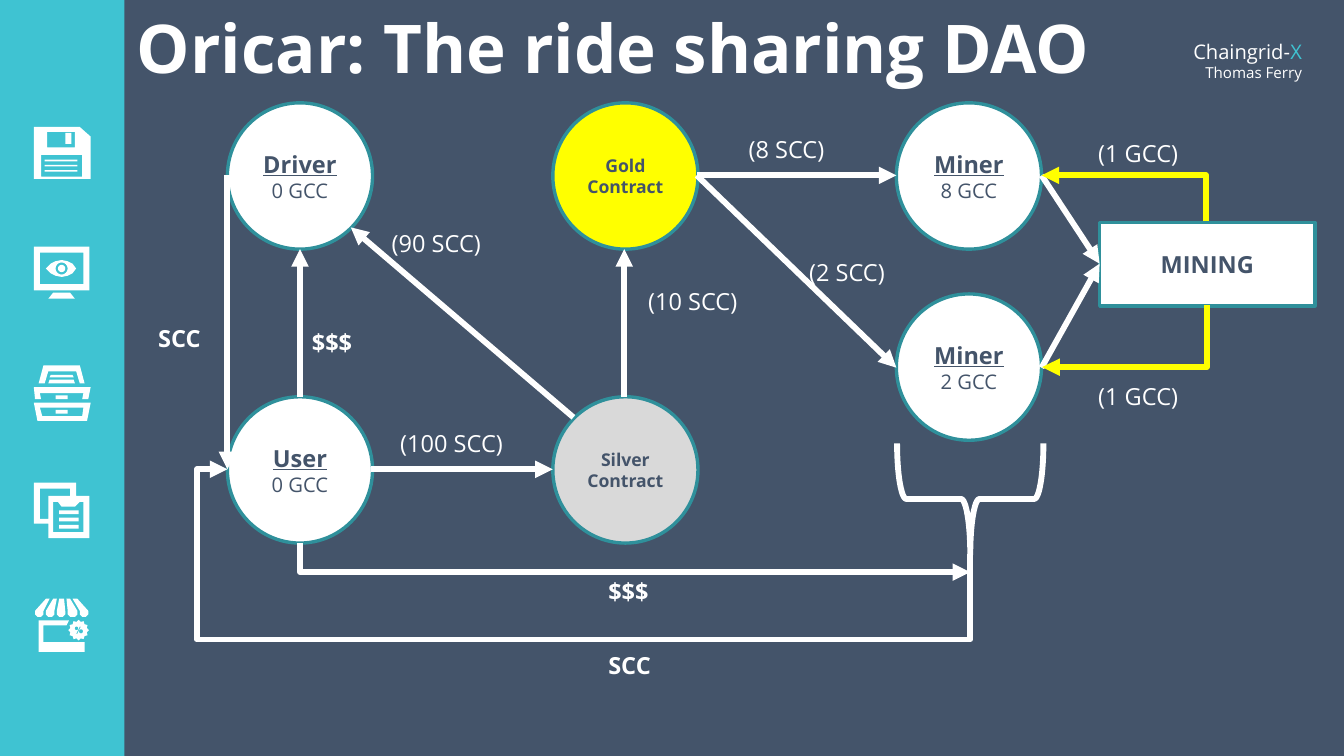
from math import cos, pi, sin

from lxml import etree
from pptx import Presentation
from pptx import util as u
from pptx.dml.color import RGBColor
from pptx.enum import shapes, text
from pptx.oxml.ns import qn

FONT = "Open Sans"
WHITE, NAVY, CYAN, TEAL = "FFFFFF", "44546A", "3FC3D2", "2F909B"
YELLOW, SILVER = "FFFF00", "D9D9D9"
MID = text.MSO_ANCHOR.MIDDLE
LEFT, CENTER, RIGHT = text.PP_ALIGN.LEFT, text.PP_ALIGN.CENTER, text.PP_ALIGN.RIGHT
SHAPE = shapes.MSO_SHAPE
DIAMETER, HEIGHT = 1.2, 1.21


def color(value):
    return RGBColor.from_string(value)


def inches(*values):
    return [u.Inches(v) for v in values]


def add_run(p, words, size, c=WHITE, bold=False, underline=False):
    r = p.add_run()
    r.text = words
    f = r.font
    f.name, f.size, f.bold, f.underline = FONT, u.Pt(size), bold, underline
    f.color.rgb = color(c)


def write(tf, lines, align=LEFT, anchor=text.MSO_ANCHOR.TOP):
    tf.word_wrap = True
    tf.vertical_anchor = anchor
    for i, runs in enumerate(lines):
        p = tf.add_paragraph() if i else tf.paragraphs[0]
        p.alignment = align
        for run in runs:
            add_run(p, *run)


def paint(sp, fill=None, line=None, width=2):
    sp.shadow.inherit = False
    if fill:
        sp.fill.solid()
        sp.fill.fore_color.rgb = color(fill)
    else:
        sp.fill.background()
    if line:
        sp.line.color.rgb = color(line)
        sp.line.width = u.Pt(width)
    else:
        sp.line.fill.background()


def add_box(s, kind, x, y, w, h, fill=None, line=None, width=2, lines=()):
    sp = s.shapes.add_shape(kind, *inches(x, y, w, h))
    paint(sp, fill, line, width)
    if lines:
        write(sp.text_frame, lines, CENTER, MID)
    return sp


def add_circle(s, x, y, fill, lines):
    add_box(s, SHAPE.OVAL, x, y, DIAMETER, HEIGHT, fill, TEAL, lines=lines)


def add_party(s, x, y, name, coins):
    add_circle(s, x, y, WHITE, [[(name, 14, NAVY, True, True)], [(coins, 12, NAVY)]])


def add_contract(s, x, y, name, fill):
    add_circle(s, x, y, fill, [[(name, 10.5, NAVY, True)]])


def add_label(s, x, y, words, bold=False, w=1):
    sp = s.shapes.add_textbox(*inches(x, y, w, 0.34))
    write(sp.text_frame, [[(words, 14, WHITE, bold)]])


def add_arrow(s, x1, y1, x2, y2, c=WHITE, kind=shapes.MSO_CONNECTOR.STRAIGHT):
    cx = s.shapes.add_connector(kind, *inches(x1, y1, x2, y2))
    cx.line.color.rgb = color(c)
    cx.line.width = u.Pt(3.5)
    pr = cx._element.spPr
    etree.SubElement(pr.find(qn("a:ln")), qn("a:tailEnd"), type="triangle")
    etree.SubElement(pr, qn("a:effectLst"))
    return cx


def add_bent_arrow(s, x, y, w, h, turn, flip, preset, c=WHITE, adjust=()):
    x1, x2 = (x + w, x) if flip == "h" else (x, x + w)
    y1, y2 = (y + h, y) if flip == "v" else (y, y + h)
    cx = add_arrow(s, x1, y1, x2, y2, c, shapes.MSO_CONNECTOR.ELBOW)
    pr = cx._element.spPr
    pr.find(qn("a:xfrm")).set("rot", str(turn * 60000))
    geom = pr.find(qn("a:prstGeom"))
    geom.set("prst", preset)
    av = geom.find(qn("a:avLst"))
    for i, value in enumerate(adjust, 1):
        etree.SubElement(av, qn("a:gd"), name=f"adj{i}", fmla=f"val {value}")


def rect(x1, y1, x2, y2):
    return [(x1, y1), (x2, y1), (x2, y2), (x1, y2)]


def ring(x, y, radii, n=24):
    return [(x + radii[i % len(radii)] * cos(2 * pi * i / n),
             y + radii[i % len(radii)] * sin(2 * pi * i / n)) for i in range(n)]


def add_icon(s, outlines):
    scaled = [[(x * 10, y * 10) for x, y in points] for points in outlines]
    fb = s.shapes.build_freeform(*scaled[0][0], scale=u.Inches(1) / 1000)
    for points in scaled:
        fb.move_to(*points[0])
        fb.add_line_segments(points[1:], close=True)
    paint(fb.convert_to_shape(), WHITE)


def disk_icon():
    return [[(28, 105), (66, 105), (75, 113), (75, 148), (28, 148)],
            rect(39, 109, 62, 122), rect(54, 110, 59, 119), rect(34, 128, 68, 146),
            *[rect(37, y, 64, y + 1.4) for y in (132, 136.3, 140.6)]]


def monitor_icon():
    eye = [(38, 222), (42, 218), (46, 216), (51, 215), (56, 216), (60, 218),
           (63, 222), (60, 226), (56, 228), (51, 229), (46, 228), (42, 226)]
    return [rect(28, 204, 74, 240), rect(33, 209, 69, 235), eye,
            ring(51, 222, [5]), ring(51, 222, [3]),
            [(44, 242), (58, 242), (62, 247), (40, 247)]]


def drawer_icon():
    return [[(36, 302), (66, 302), (70, 317), (66, 317), (63, 307), (40, 307), (37, 317), (32, 317)],
            [(42, 310), (60, 310), (61, 312), (41, 312)],
            [(41, 314), (61, 314), (62, 317), (40, 317)],
            [(28, 320), (75, 320), (73, 330), (68, 330), (69, 325), (33, 325), (34, 330), (29, 330)],
            [(28, 333), (75, 333), (72, 348), (31, 348)],
            [(33, 337), (69, 337), (68, 344), (35, 344)],
            *[rect(46, y, 56, y + 3) for y in (327, 339)]]


def pages_icon():
    return [[(28, 399), (63, 399), (63, 410), (74, 410), (74, 445), (40, 445), (40, 433), (28, 433)],
            [(33, 404), (58, 404), (58, 410), (40, 410), (40, 429), (33, 429)],
            [(44, 415), (48, 415), (51, 419), (62, 419), (66, 415), (69, 415), (69, 440), (44, 440)],
            *[rect(49, y, 65, y + 3) for y in (422, 428, 434)]]


def shop_icon():
    stripes = [(38, 41, 29, 36), (44, 47, 38, 45), (49, 53, 47, 54), (55, 58, 56, 64), (60, 64, 66, 73)]
    awning = [[(a, 495), (b, 495), (d, 505), (d, 508), (d - 2, 510), (c + 2, 510), (c, 508), (c, 505)]
              for a, b, c, d in stripes]
    percent = [ring(63.3, 519.5, [1.5]), ring(67, 522, [1.7]),
               [(66, 518), (67, 518), (64, 524), (63, 524)]]
    walls = [(32, 513), (57, 513), (55, 517), (36, 517), (36, 531), (70, 531), (70, 539), (32, 539)]
    return [*awning, ring(65, 521, [8.5, 7]), *percent, walls]


def main():
    prs = Presentation()
    prs.slide_width, prs.slide_height = inches(11.11, 6.25)
    s = prs.slides.add_slide(prs.slide_layouts[5])
    s.background.fill.solid()
    s.background.fill.fore_color.rgb = color(NAVY)

    title = s.shapes.title
    title.left, title.top, title.width, title.height = inches(1.03, 0, 10.08, 0.85)
    write(title.text_frame, [[("Oricar: The ride sharing DAO", 40, WHITE, True)]])
    header = s.shapes.add_textbox(*inches(9.21, 0.25, 1.65, 0.5))
    write(header.text_frame, [[("Chaingrid-", 12), ("X", 12, CYAN)], [("Thomas Ferry", 9)]], RIGHT, MID)

    add_box(s, SHAPE.RECTANGLE, 0, 0, 1.03, 6.25, CYAN)
    for icon in (disk_icon, monitor_icon, drawer_icon, pages_icon, shop_icon):
        add_icon(s, icon())

    add_contract(s, 4.57, 3.28, "Silver Contract", SILVER)
    add_contract(s, 4.57, 0.85, "Gold Contract", YELLOW)
    for party in ((1.88, 3.28, "User", "0 GCC"), (1.88, 0.85, "Driver", "0 GCC"),
                  (7.41, 2.43, "Miner", "2 GCC"), (7.41, 0.85, "Miner", "8 GCC")):
        add_party(s, *party)
    add_box(s, SHAPE.RECTANGLE, 9.09, 1.84, 1.78, 0.69, WHITE, TEAL,
            lines=[[("MINING", 14, NAVY, True)]])

    for ends in ((3.07, 3.88, 4.57, 3.88), (4.74, 3.45, 2.9, 1.88), (1.88, 1.45, 1.88, 3.88),
                 (2.48, 3.28, 2.48, 2.06), (5.16, 3.28, 5.16, 2.06), (5.76, 1.45, 7.41, 1.45),
                 (5.76, 1.45, 7.41, 3.04), (8.61, 1.45, 9.09, 2.18), (8.61, 3.04, 9.09, 2.18)):
        add_arrow(s, *ends)
    add_bent_arrow(s, 9.1, 0.96, 0.38, 1.36, 270, "v", "bentConnector2", YELLOW)
    add_bent_arrow(s, 9.04, 2.1, 0.51, 1.36, 90, "", "bentConnector2", YELLOW)
    brace = add_box(s, SHAPE.RIGHT_BRACE, 7.56, 3.52, 0.92, 1.21, line=WHITE, width=3.5)
    brace.rotation = 90
    add_bent_arrow(s, 4.6, 1.16, 0.7, 6.14, 270, "v", "bentConnector4", adjust=(-101200, 104100))
    add_bent_arrow(s, 5.13, 1.84, 0.24, 5.54, 270, "h", "bentConnector2")

    add_label(s, 3.21, 3.5, "(100 SCC)", w=1.2)
    for x, y, words in ((3.14, 1.84, "(90 SCC)"), (5.26, 2.32, "(10 SCC)"), (6.59, 2.08, "(2 SCC)"),
                        (6.09, 1.07, "(8 SCC)"), (8.98, 1.1, "(1 GCC)"), (8.98, 3.11, "(1 GCC)")):
        add_label(s, x, y, words)
    for x, y, words in ((2.48, 2.66, "$$$"), (1.21, 2.63, "SCC"), (4.93, 4.72, "$$$"), (4.93, 5.33, "SCC")):
        add_label(s, x, y, words, True)
    prs.save("out.pptx")


if __name__ == "__main__":
    main()
